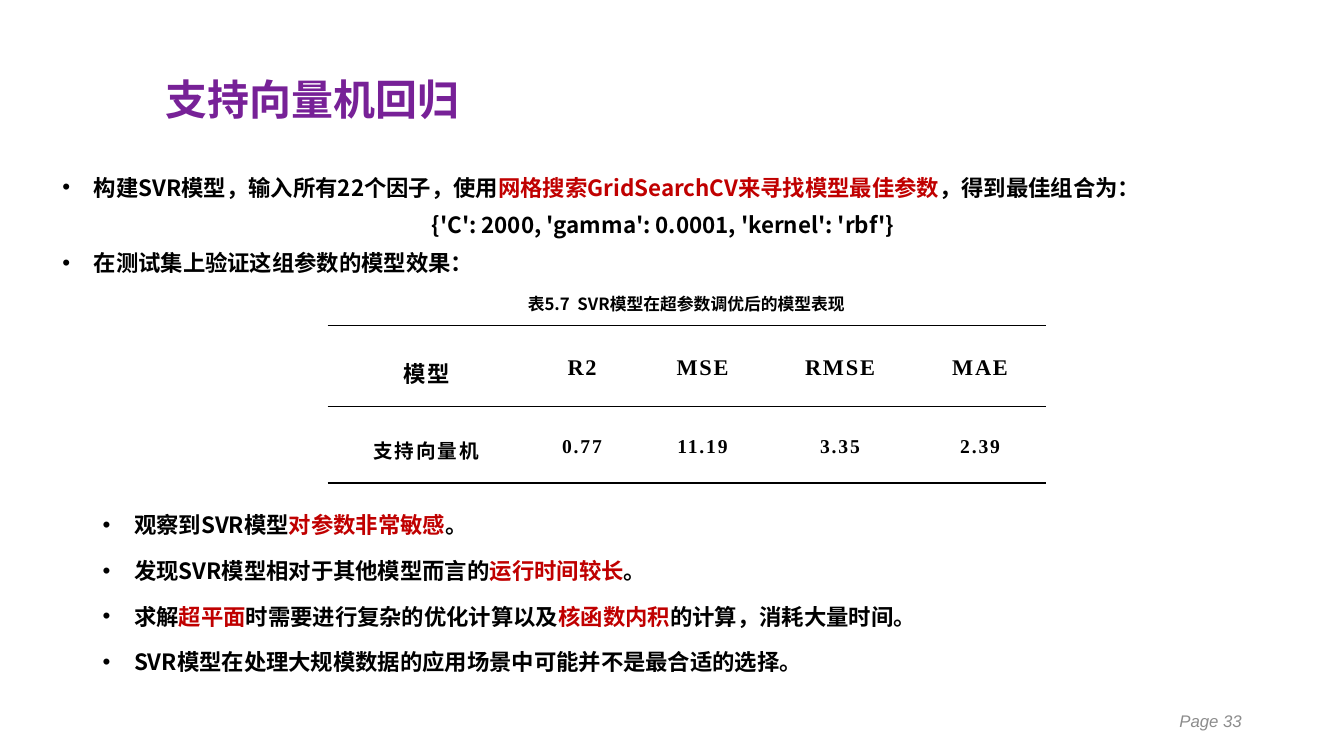
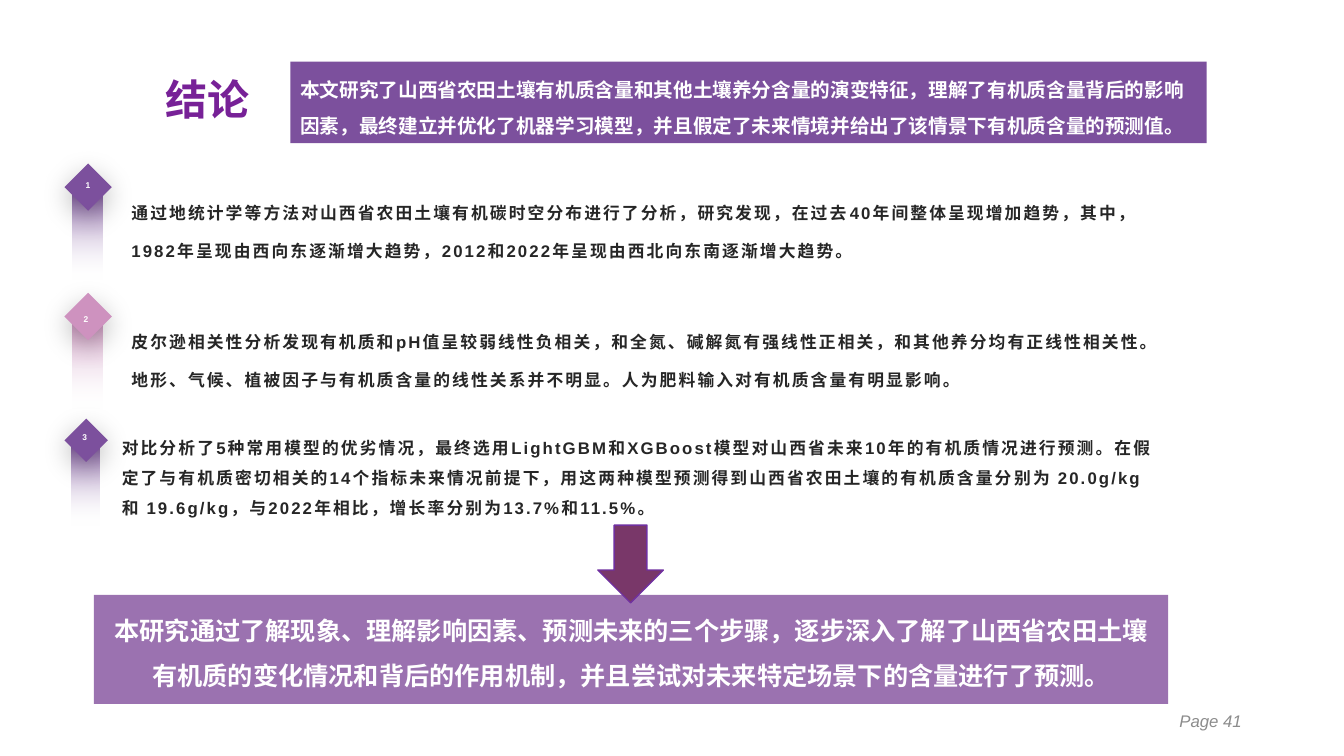
from lxml.etree import SubElement
from pptx import Presentation
from pptx.dml.color import RGBColor
from pptx.enum.shapes import MSO_SHAPE
from pptx.enum.text import MSO_ANCHOR, PP_ALIGN
from pptx.oxml.ns import qn
from pptx.util import Pt

BLACK, RED, WHITE = "000000", "C00000", "FFFFFF"
TITLE, BODY, MUTED = "772197", "262626", "8C8C8C"
PURPLE, LILAC, PINK = "7C509D", "9B72B0", "CE92BF"
SANS, ARIAL, SERIF = "Noto Sans CJK SC", "Arial", "Times New Roman"


def color(value):
    return RGBColor.from_string(value)


def add_child(parent, tag, **attributes):
    return SubElement(parent, qn(tag), {key: str(value) for key, value in attributes.items()})


class Deck:
    """Holds the style and the current slide."""

    def __init__(self):
        self.presentation = Presentation()
        self.presentation.slide_width = Pt(960)
        self.presentation.slide_height = Pt(540)
        self.slide = None

    def start_slide(self, title, page):
        layout = self.presentation.slide_layouts[6]
        self.slide = self.presentation.slides.add_slide(layout)
        self.text((110.9, 51.1, 442, 44), [[title]], 30, TITLE,
                  spacing=0.9, anchor=MSO_ANCHOR.MIDDLE)
        self.text((678.2, 500.4, 216, 28.8), [[f"Page {page}"]], 12, MUTED, ARIAL,
                  bold=False, italic=True, align=PP_ALIGN.RIGHT, anchor=MSO_ANCHOR.MIDDLE)

    def run(self, paragraph, content, size, ink, font=SANS, bold=True, italic=False, tracking=0):
        run = paragraph.add_run()
        run.text = content
        run.font.size, run.font.bold, run.font.italic = Pt(size), bold, italic
        run.font.color.rgb = color(ink)
        run.font.name = font
        properties = run.font._element
        if tracking:
            properties.set("spc", str(int(tracking * 100)))
        add_child(properties, "a:ea", typeface=SANS)

    def fill_frame(self, frame, paragraphs, size, ink, font=SANS, spacing=1.0,
                   align=PP_ALIGN.LEFT, anchor=MSO_ANCHOR.TOP, bullets=(), **style):
        """Each paragraph is a list of runs; every second run is red."""
        frame.word_wrap = True
        frame.vertical_anchor = anchor
        for index, runs in enumerate(paragraphs):
            paragraph = frame.add_paragraph() if index else frame.paragraphs[0]
            paragraph.alignment = align
            if bullets:
                if index in bullets:
                    properties = paragraph._p.get_or_add_pPr()
                    properties.set("marL", str(Pt(22.5)))
                    properties.set("indent", str(-Pt(22.5)))
                    add_child(properties, "a:buFont", typeface=ARIAL)
                    add_child(properties, "a:buChar", char="•")
                else:
                    paragraph.alignment = PP_ALIGN.CENTER
            paragraph.line_spacing = spacing
            for position, content in enumerate(runs):
                self.run(paragraph, content, size, RED if position % 2 else ink, font, **style)

    def text(self, box, paragraphs, size, ink, font=SANS, **style):
        shape = self.slide.shapes.add_textbox(*map(Pt, box))
        self.fill_frame(shape.text_frame, paragraphs, size, ink, font, **style)

    def shape(self, kind, box, fill, line=None):
        shape = self.slide.shapes.add_shape(kind, *map(Pt, box))
        shape.shadow.inherit = False
        shape.fill.solid()
        shape.fill.fore_color.rgb = color(fill)
        if line:
            shape.line.color.rgb = color(line)
            shape.line.width = Pt(1)
        else:
            shape.line.fill.background()
        return shape

    def banner(self, box, fill, content, size, align=PP_ALIGN.LEFT):
        shape = self.shape(MSO_SHAPE.RECTANGLE, box, fill)
        self.fill_frame(shape.text_frame, [[content]], size, WHITE, spacing=1.5, align=align)

    def fading_bar(self, box, fill):
        shape = self.shape(MSO_SHAPE.RECTANGLE, box, fill)
        shape.fill.gradient()
        shape.fill.gradient_angle = 90
        for stop, value in zip(shape.fill.gradient_stops, (WHITE, fill)):
            stop.color.rgb = color(value)
        clear_stop = next(shape._element.spPr.iter(qn("a:srgbClr")))
        add_child(clear_stop, "a:alpha", val=0)

    def diamond(self, box, fill):
        shape = self.shape(MSO_SHAPE.FLOWCHART_DECISION, box, fill)
        effects = shape._element.spPr.find(qn("a:effectLst"))
        shadow = add_child(effects, "a:outerShdw", blurRad=Pt(20), dist=Pt(6),
                           dir=5400000, algn="t", rotWithShape=0)
        add_child(add_child(shadow, "a:srgbClr", val=BLACK), "a:alpha", val=27000)

    def step(self, number, fill, top, side, bar, label, label_spacing, body, body_spacing, content):
        self.fading_bar(bar, fill)
        self.diamond((46.1, top, side, side), fill)
        self.text(label, [[number]], 6, WHITE, ARIAL,
                  spacing=label_spacing, anchor=MSO_ANCHOR.MIDDLE)
        self.text((*body, 759.6, 93.6), [[content]], 12, BODY, ARIAL, tracking=1.5,
                  spacing=body_spacing, anchor=MSO_ANCHOR.MIDDLE)

    def borders(self, cell, top, bottom):
        properties = cell._tc.get_or_add_tcPr()
        for side, width in zip("LRTB", (0, 0, top, bottom)):
            line = add_child(properties, f"a:ln{side}", w=Pt(width))
            if width:
                add_child(add_child(line, "a:solidFill"), "a:srgbClr", val=BLACK)
            else:
                add_child(line, "a:noFill")

    def table(self, left, top, widths, heights, rows, sizes):
        table = self.slide.shapes.add_table(
            len(rows), len(widths), Pt(left), Pt(top), Pt(sum(widths)), Pt(sum(heights))).table
        table.first_row = table.horz_banding = False
        for column, width in zip(table.columns, widths):
            column.width = Pt(width)
        rules = (1.5, 1, 1.5)
        for i, values in enumerate(rows):
            table.rows[i].height = Pt(heights[i])
            for j, value in enumerate(values):
                cell = table.cell(i, j)
                cell.margin_left = cell.margin_right = Pt(25.2)
                cell.margin_top = cell.margin_bottom = Pt(17.3)
                cell.vertical_anchor = MSO_ANCHOR.MIDDLE
                self.borders(cell, rules[i], rules[i + 1])
                cell.fill.background()
                self.fill_frame(cell.text_frame, [[value]], sizes[i], BLACK,
                                SERIF if j else SANS, spacing=1.2, tracking=1.3,
                                align=PP_ALIGN.CENTER, anchor=MSO_ANCHOR.MIDDLE)


def build_regression(deck):
    deck.start_slide("支持向量机回归", 33)

    # Model set-up
    deck.text((37.4, 113, 872.6, 88.6), [
        ["构建SVR模型，输入所有22个因子，使用", "网格搜索GridSearchCV来寻找模型最佳参数",
         "，得到最佳组合为："],
        ["{'C': 2000, 'gamma': 0.0001, 'kernel': 'rbf'}"],
        ["在测试集上验证这组参数的模型效果："],
    ], 16, BLACK, spacing=1.4, bullets=(0, 2))

    # Test results
    deck.table(234, 232.5, (141.1, 81.4, 90.7, 105.8, 94.3), (57, 49), [
        ("模型", "R2", "MSE", "RMSE", "MAE"),
        ("支持向量机", "0.77", "11.19", "3.35", "2.39"),
    ], (16, 14))

    # Findings
    deck.text((66.2, 348.5, 815.8, 139), [
        ["观察到SVR模型", "对参数非常敏感", "。"],
        ["发现SVR模型相对于其他模型而言的", "运行时间较长", "。"],
        ["求解", "超平面", "时需要进行复杂的优化计算以及", "核函数内积", "的计算，消耗大量时间。"],
        ["SVR模型在处理大规模数据的应用场景中可能并不是最合适的选择。"],
    ], 16, BLACK, spacing=1.7, bullets=range(4))

    # Table caption
    deck.text((330.5, 206, 319.7, 21.6), [["表5.7  SVR模型在超参数调优后的模型表现"]],
              12, BLACK, align=PP_ALIGN.CENTER)


def build_conclusion(deck):
    deck.start_slide("结论", 41)

    # Summary banners
    deck.banner((207.4, 44, 654.5, 58.3), PURPLE,
                "本文研究了山西省农田土壤有机质含量和其他土壤养分含量的演变特征，"
                "理解了有机质含量背后的影响因素，最终建立并优化了机器学习模型，"
                "并且假定了未来情境并给出了该情景下有机质含量的预测值。", 14)
    deck.banner((67, 425, 767.5, 77.8), LILAC,
                "本研究通过了解现象、理解影响因素、预测未来的三个步骤，"
                "逐步深入了解了山西省农田土壤有机质的变化情况和背后的作用机制，"
                "并且尝试对未来特定场景下的含量进行了预测。", 18, PP_ALIGN.CENTER)

    # Numbered conclusions
    deck.step("1", PURPLE, 116.8, 33.8, (51.6, 136, 22, 63.4), (54, 119.5, 15.8, 25.9), 1,
              (86.8, 112.3), 1.9,
              "通过地统计学等方法对山西省农田土壤有机碳时空分布进行了分析，研究发现，"
              "在过去40年间整体呈现增加趋势，其中，1982年呈现由西向东逐渐增大趋势，"
              "2012和2022年呈现由西北向东南逐渐增大趋势。")
    deck.step("2", PINK, 209.2, 33.8, (51.6, 228.4, 22, 63.4), (52.6, 211.7, 16.6, 25.9), 1.9,
              (86.8, 204.7), 1.9,
              "皮尔逊相关性分析发现有机质和pH值呈较弱线性负相关，和全氮、碱解氮有强线性正相关，"
              "和其他养分均有正线性相关性。地形、气候、植被因子与有机质含量的线性关系并不明显。"
              "人为肥料输入对有机质含量有明显影响。")
    deck.step("3", PURPLE, 299, 31, (51.1, 316.8, 20.2, 58.3), (51.8, 300.2, 15.1, 24.5), 1,
              (79.9, 290.9), 1.5,
              "对比分析了5种常用模型的优劣情况，最终选用LightGBM和XGBoost模型"
              "对山西省未来10年的有机质情况进行预测。在假定了与有机质密切相关的14个指标"
              "未来情况前提下，用这两种模型预测得到山西省农田土壤的有机质含量分别为 "
              "20.0g/kg 和 19.6g/kg，与2022年相比，增长率分别为13.7%和11.5%。")

    # Arrow to the closing banner
    deck.shape(MSO_SHAPE.DOWN_ARROW, (427, 375.1, 46.8, 55.5), "793769", "7030A0")


def main():
    deck = Deck()
    build_regression(deck)
    build_conclusion(deck)
    deck.presentation.save("out.pptx")


if __name__ == "__main__":
    main()
